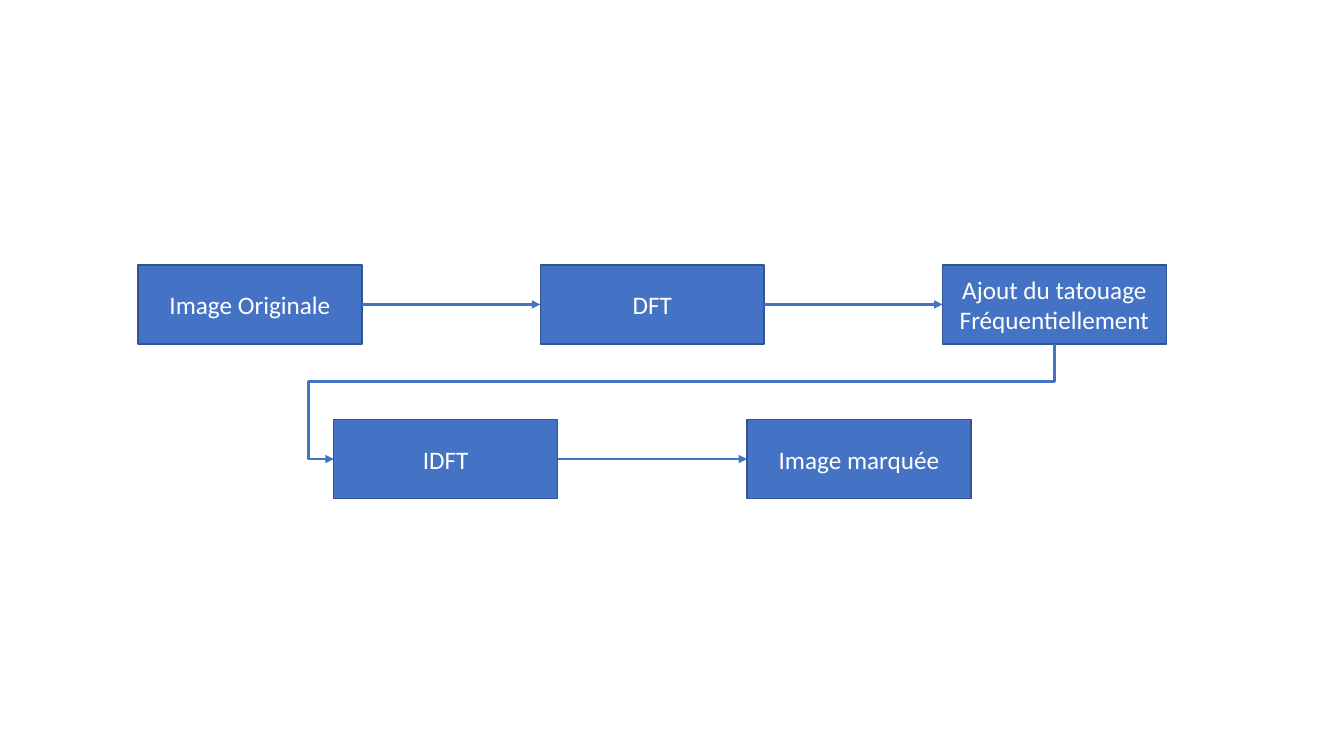
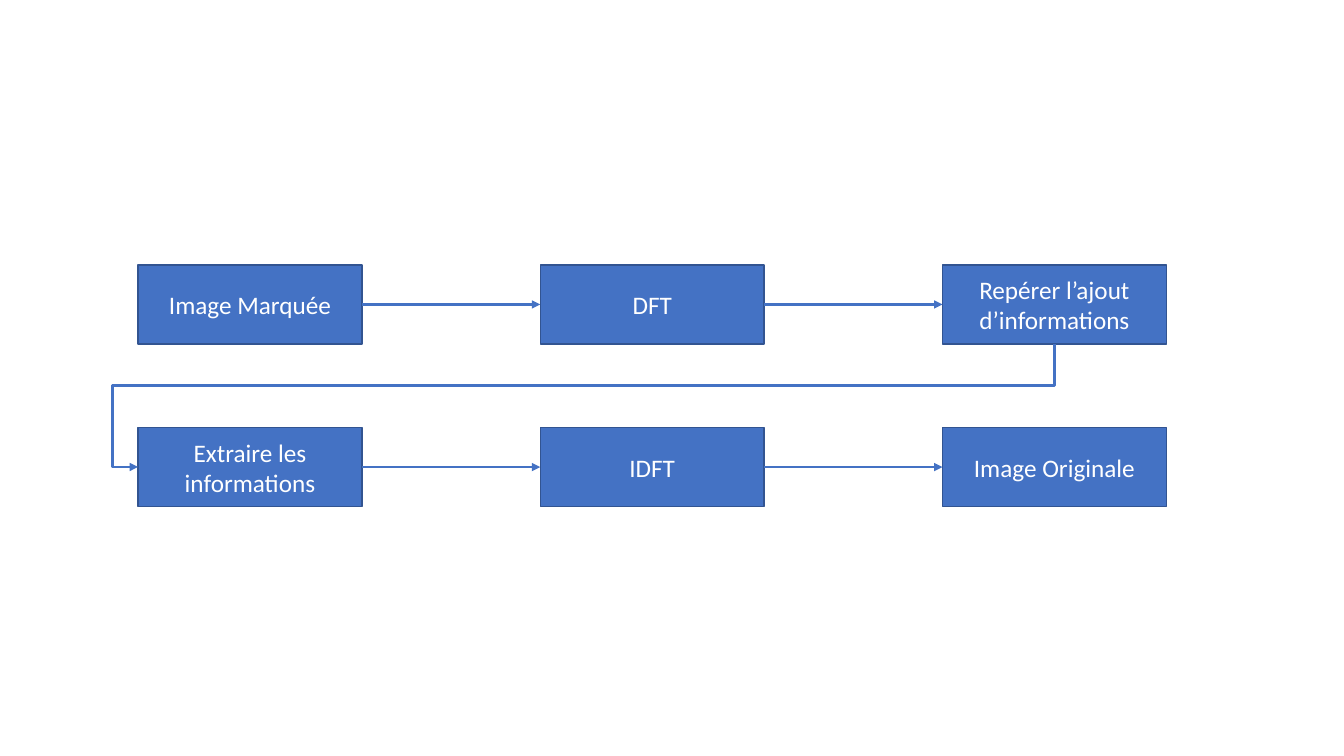
from lxml import etree
from pptx import Presentation
from pptx.dml.color import RGBColor
from pptx.enum import shapes, text
from pptx.oxml import ns
from pptx.util import Pt

HUES = {"fill": "4472C4", "edge": "325491", "text": "FFFFFF"}
LEFT, TOP, STEP = 98.6, 189.4, 287.3
WIDE, HIGH = 160, 56.2
LANE = 18  # how far the return arrow swings out to the left


class Deck:
    def __init__(self):
        self.prs = Presentation()
        self.prs.slide_width, self.prs.slide_height = Pt(960), Pt(540)
        self.slide = None

    def page(self):
        self.slide = self.prs.slides.add_slide(self.prs.slide_layouts[6])

    def hue(self, name):
        return RGBColor.from_string(HUES[name])

    def box(self, x, y, label):
        box = self.slide.shapes.add_shape(
            shapes.MSO_SHAPE.RECTANGLE, Pt(x), Pt(y), Pt(WIDE), Pt(HIGH))
        box.shadow.inherit = False
        box.fill.solid()
        box.fill.fore_color.rgb = self.hue("fill")
        box.line.color.rgb = self.hue("edge")
        box.line.width = Pt(1)
        frame = box.text_frame
        frame.word_wrap = True
        frame.vertical_anchor = text.MSO_ANCHOR.MIDDLE
        para = frame.paragraphs[0]
        para.alignment = text.PP_ALIGN.CENTER
        run = para.add_run()
        run.text = label
        run.font.name, run.font.size = "Calibri", Pt(18)
        run.font.color.rgb = self.hue("text")
        return box

    def line(self, kind, x1, y1, x2, y2):
        line = self.slide.shapes.add_connector(kind, Pt(x1), Pt(y1), Pt(x2), Pt(y2))
        line.line.color.rgb = self.hue("fill")
        line.line.width = Pt(2)
        etree.SubElement(line.line._get_or_add_ln(), ns.qn("a:tailEnd"), type="triangle")
        etree.SubElement(line._element.spPr, ns.qn("a:effectLst"))
        return line

    def arrow(self, a, b):
        """Straight arrow from the right side of a to the left side of b."""
        line = self.line(shapes.MSO_CONNECTOR.STRAIGHT, 0, 0, 0, 0)
        line.begin_connect(a, 3)
        line.end_connect(b, 1)

    def turn(self, a, b):
        """Bent arrow from under a, back to the left side of b."""
        x1, y1 = a.left.pt + WIDE / 2, a.top.pt + HIGH
        x2, y2 = b.left.pt, b.top.pt + HIGH / 2
        drop, run = y2 - y1, x1 - x2
        # The frame is laid out upright, then turned by 90 degrees
        x, y = (x1 + x2 - drop) / 2, (y1 + y2 - run) / 2
        line = self.line(shapes.MSO_CONNECTOR.ELBOW, x, y, x + drop, y + run)
        props = line._element.spPr
        props.find(ns.qn("a:xfrm")).set("rot", "5400000")
        geom = props.find(ns.qn("a:prstGeom"))
        geom.set("prst", "bentConnector4")
        bends = geom.find(ns.qn("a:avLst"))
        if bends is None:
            bends = etree.SubElement(geom, ns.qn("a:avLst"))
        # Cross midway between the rows, then pass the target by LANE
        ratios = ((b.top.pt - y1) / 2 / drop, 1 + LANE / run)
        for i, ratio in enumerate(ratios, 1):
            etree.SubElement(bends, ns.qn("a:gd"), name=f"adj{i}",
                             fmla=f"val {round(ratio * 100000)}")

    def row(self, x, y, step, labels):
        boxes = [self.box(x + i * step, y, label) for i, label in enumerate(labels)]
        for a, b in zip(boxes, boxes[1:]):
            self.arrow(a, b)
        return boxes

    def flow(self, upper, lower, x, y, step):
        self.page()
        first = self.row(LEFT, TOP, STEP, upper)
        second = self.row(x, y, step, lower)
        self.turn(first[-1], second[0])


def main():
    deck = Deck()
    # Embedding the watermark
    deck.flow(["Image Originale", "DFT", "Ajout du tatouage Fréquentiellement"],
              ["IDFT", "Image marquée"], 238.4, 299.8, 295.2)
    # Extracting the watermark
    deck.flow(["Image Marquée", "DFT", "Repérer l’ajout d’informations"],
              ["Extraire les informations", "IDFT", "Image Originale"],
              LEFT, 305.5, STEP)
    deck.prs.save("out.pptx")


if __name__ == "__main__":
    main()
